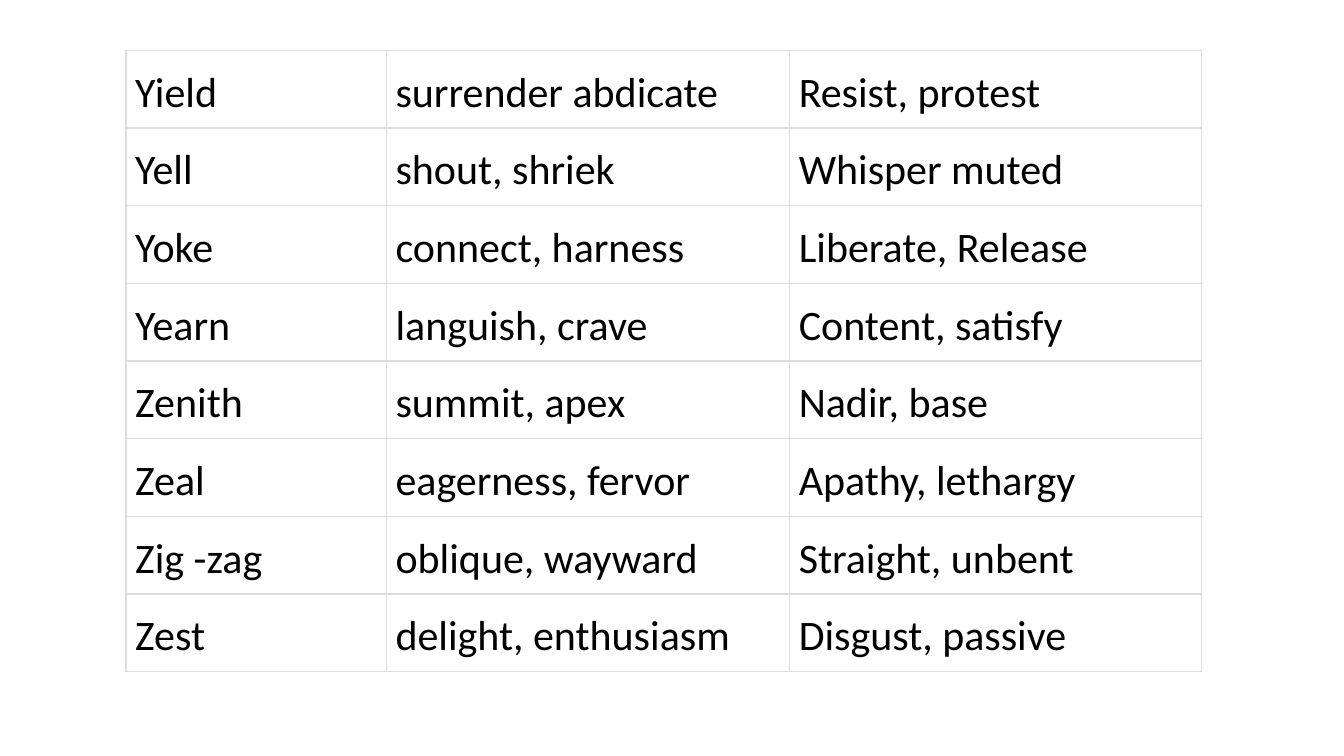
from dataclasses import dataclass

from lxml.etree import SubElement
from pptx import Presentation
from pptx.dml.color import RGBColor as Color
from pptx.oxml.ns import qn
from pptx.util import Pt

WORDS = [
    ("Yield", "surrender abdicate", "Resist, protest"),
    ("Yell", "shout, shriek", "Whisper muted"),
    ("Yoke", "connect, harness", "Liberate, Release"),
    ("Yearn", "languish, crave", "Content, satisfy"),
    ("Zenith", "summit, apex", "Nadir, base"),
    ("Zeal", "eagerness, fervor", "Apathy, lethargy"),
    ("Zig -zag", "oblique, wayward", "Straight, unbent"),
    ("Zest", "delight, enthusiasm", "Disgust, passive"),
]
COLUMN_WIDTHS = (186, 288, 294)
ROW_HEIGHT = 55.5
TABLE_LEFT, TABLE_TOP = 90, 36


@dataclass(frozen=True)
class Theme:
    font: str = "Calibri"
    size: float = 30
    line_spacing: float = 1.15
    inset: float = 6.6
    border_width: float = 1
    text: str = "000000"
    fill: str = "FFFFFF"
    border: str = "DDDDDD"


THEME = Theme()


def add_borders(cell):
    properties = cell._tc.get_or_add_tcPr()
    for side in ("lnL", "lnR", "lnT", "lnB"):
        line = SubElement(properties, qn(f"a:{side}"), w=str(Pt(THEME.border_width)))
        fill = SubElement(line, qn("a:solidFill"))
        SubElement(fill, qn("a:srgbClr"), val=THEME.border)


def write_cell(cell, text):
    add_borders(cell)
    cell.fill.solid()
    cell.fill.fore_color.rgb = Color.from_string(THEME.fill)
    cell.margin_left = cell.margin_right = Pt(THEME.inset)
    cell.margin_top = cell.margin_bottom = Pt(THEME.inset)
    paragraph = cell.text_frame.paragraphs[0]
    paragraph.line_spacing = THEME.line_spacing
    run = paragraph.add_run()
    run.text = text
    run.font.name = THEME.font
    run.font.size = Pt(THEME.size)
    run.font.color.rgb = Color.from_string(THEME.text)


def add_word_table(slide):
    shape = slide.shapes.add_table(
        len(WORDS), len(COLUMN_WIDTHS), Pt(TABLE_LEFT), Pt(TABLE_TOP),
        Pt(sum(COLUMN_WIDTHS)), Pt(ROW_HEIGHT * len(WORDS)),
    )
    table = shape.table
    table.first_row = False
    table.horz_banding = False
    for column, width in zip(table.columns, COLUMN_WIDTHS):
        column.width = Pt(width)
    for row, words in zip(table.rows, WORDS):
        row.height = Pt(ROW_HEIGHT)
        for cell, text in zip(row.cells, words):
            write_cell(cell, text)


def main():
    presentation = Presentation()
    presentation.slide_width = Pt(960)
    presentation.slide_height = Pt(540)
    slide = presentation.slides.add_slide(presentation.slide_layouts[6])
    add_word_table(slide)
    presentation.save("out.pptx")


if __name__ == "__main__":
    main()
